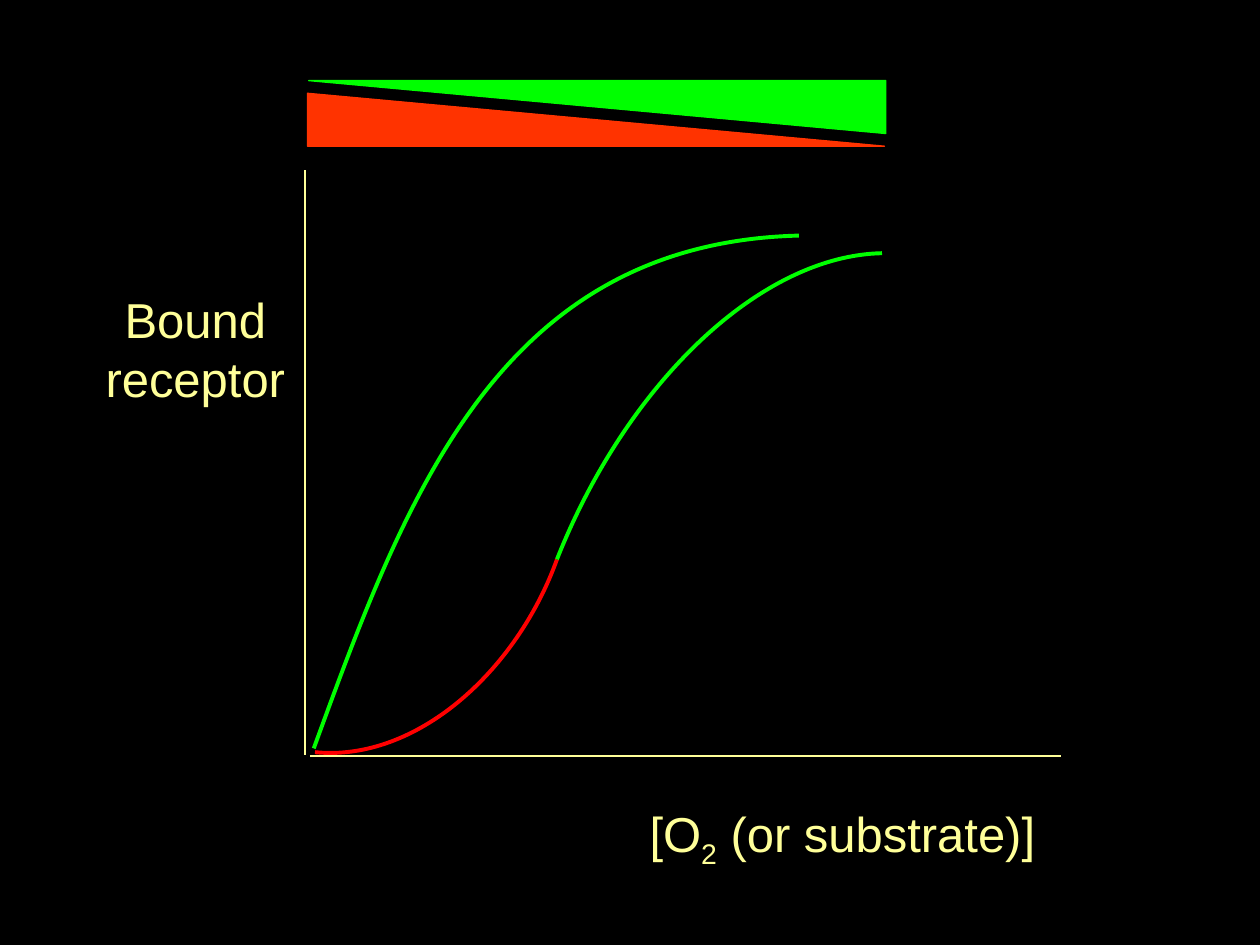
import dataclasses
import typing

import lxml.etree
import pptx
import pptx.dml.color
import pptx.enum.shapes
import pptx.enum.text
import pptx.oxml.ns
import pptx.util

BLACK = pptx.dml.color.RGBColor(0x00, 0x00, 0x00)
YELLOW = pptx.dml.color.RGBColor(0xFF, 0xFF, 0x99)
GREEN = pptx.dml.color.RGBColor(0x00, 0xFF, 0x00)
RED = pptx.dml.color.RGBColor(0xFF, 0x00, 0x00)
ORANGE = pptx.dml.color.RGBColor(0xFF, 0x33, 0x00)

COLUMNS, ROWS = 100, 75
SLIDE_WIDTH = pptx.util.Inches(10)
SLIDE_HEIGHT = pptx.util.Inches(7.5)
WEDGE_WIDTH, WEDGE_HEIGHT = 45.8, 4.2
SUBSCRIPT = "-25000"


class Point(typing.NamedTuple):
    column: float
    row: float

    def emu(self) -> tuple[int, int]:
        return (
            round(self.column * SLIDE_WIDTH / COLUMNS),
            round(self.row * SLIDE_HEIGHT / ROWS),
        )


@dataclasses.dataclass(frozen=True)
class Curve:
    start: Point
    controls: tuple[Point, Point]
    end: Point
    color: pptx.dml.color.RGBColor


@dataclasses.dataclass(frozen=True)
class Axis:
    start: Point
    end: Point


@dataclasses.dataclass(frozen=True)
class Wedge:
    corner: Point
    rotation: float
    color: pptx.dml.color.RGBColor


@dataclasses.dataclass(frozen=True)
class Label:
    corner: Point
    size: Point
    wrap: bool
    spans: tuple[tuple[str, bool], ...]


INFLECTION = Point(44.2, 44.4)
CURVES = (
    Curve(INFLECTION, (Point(41, 53.3), Point(33, 60.5)), Point(25, 59.7), RED),
    Curve(INFLECTION, (Point(49.8, 30.3), Point(60.4, 20.3)), Point(70, 20.1), GREEN),
    Curve(Point(24.9, 59.4), (Point(32.2, 39.4), Point(39.6, 19.3)), Point(63.4, 18.7), GREEN),
)
AXES = (
    Axis(Point(24.2, 59.9), Point(24.2, 13.5)),
    Axis(Point(24.6, 60), Point(84.2, 60)),
)
LABELS = (
    Label(
        Point(50.4, 63.3),
        Point(32.9, 5.7),
        False,
        (("[O", False), ("2", True), (" (or substrate)]", False)),
    ),
    Label(Point(3.3, 22.5), Point(24.4, 10.3), True, (("Bound receptor", False),)),
)
WEDGES = (
    Wedge(Point(24.4, 7.4), 0, ORANGE),
    Wedge(Point(24.5, 6.4), 180, GREEN),
)


def draw_curve(page: pptx.slide.Slide, curve: Curve) -> None:
    builder = page.shapes.build_freeform(*curve.start.emu())
    builder.add_line_segments(
        [point.emu() for point in (*curve.controls, curve.end)], close=False
    )
    shape = builder.convert_to_shape()
    segments = shape._element.xpath(".//a:lnTo")
    outline = segments[0].getparent()
    bezier = lxml.etree.SubElement(outline, pptx.oxml.ns.qn("a:cubicBezTo"))
    for segment in segments:
        bezier.append(segment[0])
        outline.remove(segment)
    shape.shadow.inherit = False
    shape.fill.background()
    shape.line.color.rgb = curve.color
    shape.line.width = pptx.util.Pt(2.25)


def draw_axis(page: pptx.slide.Slide, axis: Axis) -> None:
    connector = page.shapes.add_connector(
        pptx.enum.shapes.MSO_CONNECTOR.STRAIGHT, *axis.start.emu(), *axis.end.emu()
    )
    connector.line.color.rgb = YELLOW
    connector.line.width = pptx.util.Pt(0.75)
    lxml.etree.SubElement(connector._element.spPr, pptx.oxml.ns.qn("a:effectLst"))


def draw_label(page: pptx.slide.Slide, label: Label) -> None:
    box = page.shapes.add_textbox(*label.corner.emu(), *label.size.emu())
    box.text_frame.word_wrap = label.wrap
    box.text_frame.auto_size = pptx.enum.text.MSO_AUTO_SIZE.SHAPE_TO_FIT_TEXT
    para = box.text_frame.paragraphs[0]
    para.alignment = pptx.enum.text.PP_ALIGN.CENTER
    para.font.name = "Arial"
    para.font.size = pptx.util.Pt(28)
    para.font.color.rgb = YELLOW
    for text, subscript in label.spans:
        span = para.add_run()
        span.text = text
        if subscript:
            span._r.get_or_add_rPr().set("baseline", SUBSCRIPT)


def draw_wedge(page: pptx.slide.Slide, wedge: Wedge) -> None:
    shape = page.shapes.add_shape(
        pptx.enum.shapes.MSO_SHAPE.RIGHT_TRIANGLE,
        *wedge.corner.emu(),
        *Point(WEDGE_WIDTH, WEDGE_HEIGHT).emu(),
    )
    shape.rotation = wedge.rotation
    shape.shadow.inherit = False
    shape.fill.solid()
    shape.fill.fore_color.rgb = wedge.color
    shape.line.color.rgb = wedge.color
    shape.line.width = pptx.util.Pt(0.75)


def main() -> None:
    deck = pptx.Presentation()
    deck.slide_width, deck.slide_height = SLIDE_WIDTH, SLIDE_HEIGHT
    page = deck.slides.add_slide(deck.slide_layouts[6])
    page.background.fill.solid()
    page.background.fill.fore_color.rgb = BLACK
    for curve in CURVES:
        draw_curve(page, curve)
    for axis in AXES:
        draw_axis(page, axis)
    for label in LABELS:
        draw_label(page, label)
    for wedge in WEDGES:
        draw_wedge(page, wedge)
    deck.save("out.pptx")


if __name__ == "__main__":
    main()
